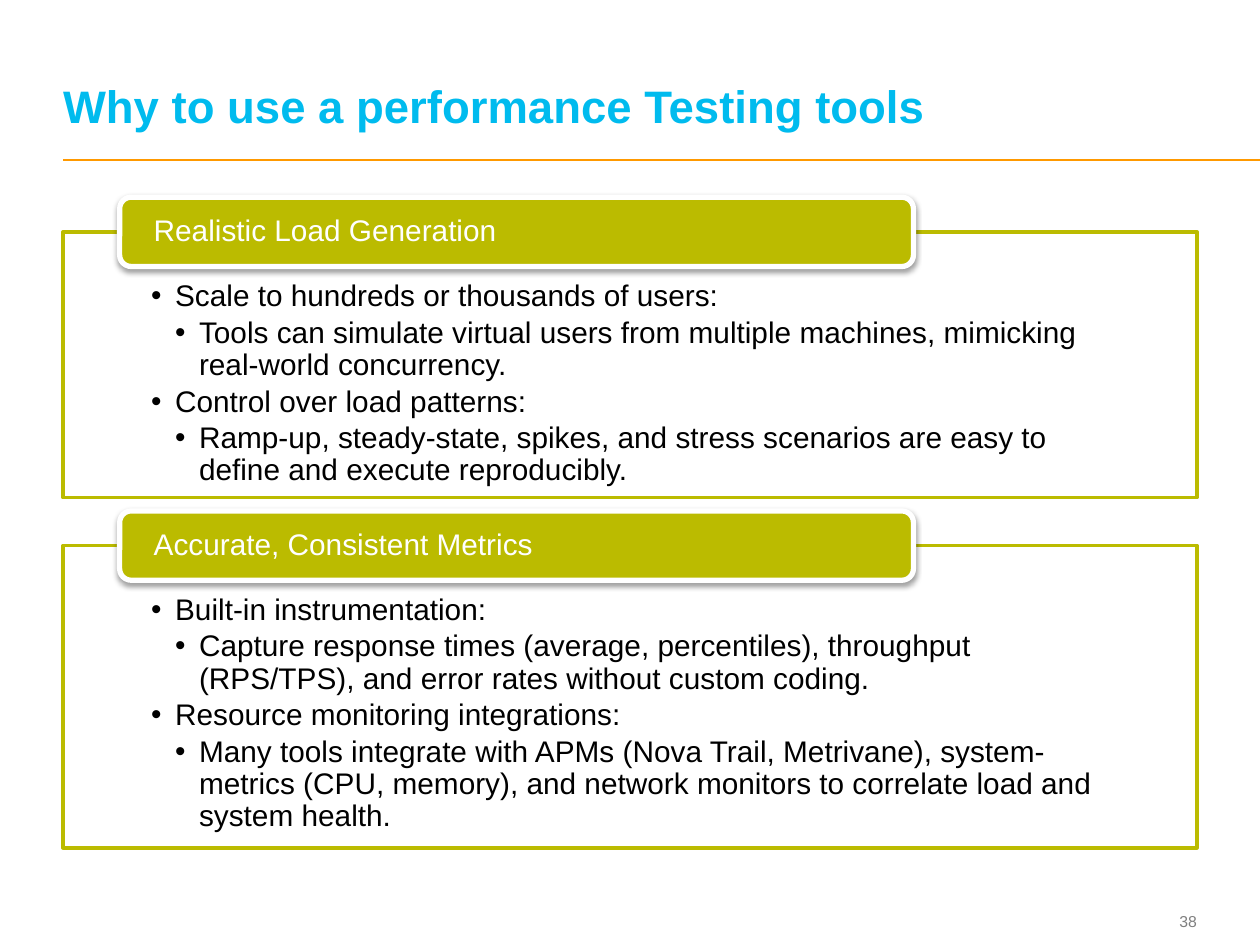
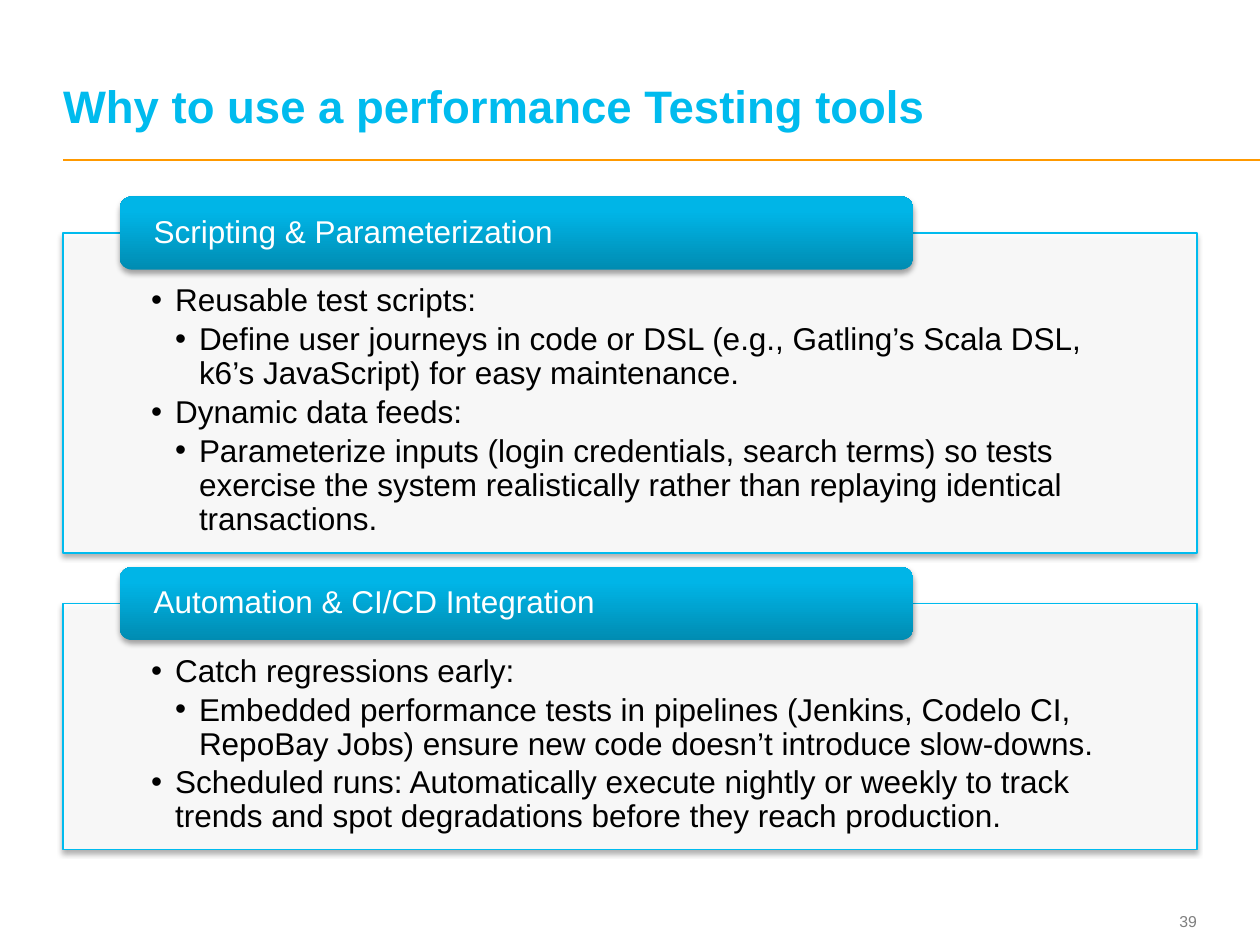
from lxml import etree
from pptx import Presentation
from pptx.dml.color import RGBColor
from pptx.enum.shapes import MSO_CONNECTOR, MSO_SHAPE
from pptx.enum.text import MSO_ANCHOR, MSO_AUTO_SIZE, PP_ALIGN
from pptx.oxml.ns import qn
from pptx.util import Inches, Pt

STRAIGHT = MSO_CONNECTOR.STRAIGHT
RECTANGLE = MSO_SHAPE.RECTANGLE
ROUNDED = MSO_SHAPE.ROUNDED_RECTANGLE
TOP, MIDDLE, BOTTOM = MSO_ANCHOR.TOP, MSO_ANCHOR.MIDDLE, MSO_ANCHOR.BOTTOM
NO_AUTOFIT = MSO_AUTO_SIZE.NONE
LEFT, RIGHT = PP_ALIGN.LEFT, PP_ALIGN.RIGHT

COLORS = {
    "title": "00BBEE",
    "rule": "FF9900",
    "number": "7F7F7F",
    "white": "FFFFFF",
    "black": "000000",
    "olive": "BBBB00",
    "cyan": "00BBEE",
    "cyan_dark": "008CB2",
    "cyan_light": "00B5E7",
}
FONT = "Arial"
TITLE = "Why to use a performance Testing tools"
MARGIN, PANEL_WIDTH = 0.5, 9
HEADER_OFFSET, HEADER_WIDTH, HEADER_INSET = 0.45, 6.3, 0.03
INDENT = 0.19

OLIVE_STYLE = {
    "top": 1.84, "gap": 0.38, "size": 17, "padding": (0.7, 0.39, 0.7, 0.13),
    "line": "olive", "line_width": 2, "panel_shadow": None,
    "header_height": 0.55, "header_fill": ["olive"], "header_line": "white",
    "header_shadow": (38, 3.1, 1.6),
}
CYAN_STYLE = {
    "top": 1.85, "gap": 0.4, "size": 18, "padding": (0.7, 0.41, 0.7, 0.14),
    "line": "cyan", "line_width": 0.75, "panel_shadow": (35, 3.1, 1.8),
    "header_height": 0.58, "header_fill": ["cyan_dark", "cyan_light"], "header_line": None,
    "header_shadow": (35, 3.1, 1.8),
}

SLIDES = [
    (38, OLIVE_STYLE, [
        ("Realistic Load Generation", 2.11, [
            (1, "Scale to hundreds or thousands of users:"),
            (2, "Tools can simulate virtual users from multiple machines, mimicking real-world concurrency."),
            (1, "Control over load patterns:"),
            (2, "Ramp-up, steady-state, spikes, and stress scenarios are easy to define and execute reproducibly."),
        ]),
        ("Accurate, Consistent Metrics", 2.4, [
            (1, "Built-in instrumentation:"),
            (2, "Capture response times (average, percentiles), throughput (RPS/TPS), "
                "and error rates without custom coding."),
            (1, "Resource monitoring integrations:"),
            (2, "Many tools integrate with APMs (Nova Trail, Metrivane), system-metrics (CPU, memory), "
                "and network monitors to correlate load and system health."),
        ]),
    ]),
    (39, CYAN_STYLE, [
        ("Scripting & Parameterization", 2.54, [
            (1, "Reusable test scripts:"),
            (2, "Define user journeys in code or DSL (e.g., Gatling’s Scala DSL, "
                "k6’s JavaScript) for easy maintenance."),
            (1, "Dynamic data feeds:"),
            (2, "Parameterize inputs (login credentials, search terms) so tests exercise the system "
                "realistically rather than replaying identical transactions."),
        ]),
        ("Automation & CI/CD Integration", 1.95, [
            (1, "Catch regressions early:"),
            (2, "Embedded performance tests in pipelines (Jenkins, Codelo CI, RepoBay Jobs) "
                "ensure new code doesn’t introduce slow-downs."),
            (1, "Scheduled runs: Automatically execute nightly or weekly to track trends "
                "and spot degradations before they reach production."),
        ]),
    ]),
]


def rgb(name):
    return RGBColor.from_string(COLORS[name])


def set_attributes(target, values):
    for name, value in values.items():
        setattr(target, name, value)


def format_frame(frame, anchor, padding=(0, 0, 0, 0)):
    sides = ("margin_left", "margin_top", "margin_right", "margin_bottom")
    set_attributes(frame, {"word_wrap": True, "auto_size": NO_AUTOFIT, "vertical_anchor": anchor})
    set_attributes(frame, {side: Inches(value) for side, value in zip(sides, padding)})


def format_paragraph(paragraph, text, size, color, bold=False, **layout):
    paragraph.text = text
    set_attributes(paragraph, layout)
    set_attributes(paragraph.font, {"name": FONT, "size": Pt(size), "bold": bold})
    paragraph.font.color.rgb = rgb(color)


def add_bullet(paragraph, level):
    paragraph.level = level
    properties = paragraph._p.get_or_add_pPr()
    properties.set("marL", str(Inches(INDENT * level)))
    properties.set("indent", str(-Inches(INDENT)))
    etree.SubElement(properties, qn("a:buFont"), typeface=FONT)
    etree.SubElement(properties, qn("a:buChar"), char="•")


def add_text_box(slide, box, anchor, padding=(0, 0, 0, 0)):
    frame = slide.shapes.add_textbox(*map(Inches, box)).text_frame
    format_frame(frame, anchor, padding)
    return frame


def set_shadow(shape, shadow):
    shape.shadow.inherit = False
    if shadow:
        opacity, blur, distance = shadow
        effects = shape._element.spPr.find(qn("a:effectLst"))
        outer = etree.SubElement(effects, qn("a:outerShdw"), blurRad=str(Pt(blur)),
                                 dist=str(Pt(distance)), dir="5400000", rotWithShape="0")
        color = etree.SubElement(outer, qn("a:srgbClr"), val=COLORS["black"])
        etree.SubElement(color, qn("a:alpha"), val=str(opacity * 1000))


def set_line(shape, color, width):
    if color:
        shape.line.color.rgb = rgb(color)
        shape.line.width = Pt(width)
    else:
        shape.line.fill.background()


def set_fill(shape, names):
    if len(names) == 1:
        shape.fill.solid()
        shape.fill.fore_color.rgb = rgb(names[0])
    else:
        shape.fill.gradient()
        shape.fill.gradient_angle = 90
        for stop, name, position in zip(shape.fill.gradient_stops, names, (0, 0.8)):
            stop.color.rgb = rgb(name)
            stop.position = position


def add_panel(slide, box, points, style):
    panel = slide.shapes.add_shape(RECTANGLE, *map(Inches, box))
    set_fill(panel, ["white"])
    fill_color = panel._element.spPr.find(qn("a:solidFill"))[0]
    etree.SubElement(fill_color, qn("a:alpha"), val="90000")
    set_line(panel, style["line"], style["line_width"])
    set_shadow(panel, style["panel_shadow"])
    frame = add_text_box(slide, box, TOP, style["padding"])
    size = style["size"]
    for index, (level, text) in enumerate(points):
        paragraph = frame.add_paragraph() if index else frame.paragraphs[0]
        add_bullet(paragraph, level)
        format_paragraph(paragraph, text, size, "black", line_spacing=0.9,
                         space_after=Pt(size * 0.15))


def add_header(slide, box, text, style):
    left, top, width, height = box
    header = slide.shapes.add_shape(ROUNDED, *map(Inches, box))
    set_fill(header, style["header_fill"])
    set_line(header, style["header_line"], 3)
    set_shadow(header, style["header_shadow"])
    inner = (left + HEADER_INSET, top + HEADER_INSET,
             width - 2 * HEADER_INSET, height - 2 * HEADER_INSET)
    frame = add_text_box(slide, inner, MIDDLE, (0.24, 0, 0.24, 0))
    format_paragraph(frame.paragraphs[0], text, style["size"], "white", line_spacing=0.9)


def add_section(slide, box, heading, points, style):
    left, top, width, height = box
    add_panel(slide, box, points, style)
    header_height = style["header_height"]
    header_box = (left + HEADER_OFFSET, top - header_height / 2, HEADER_WIDTH, header_height)
    add_header(slide, header_box, heading, style)


def add_frame(slide, number):
    rule = slide.shapes.add_connector(STRAIGHT, *map(Inches, (MARGIN, 1.27, 10, 1.27)))
    set_line(rule, "rule", 1)
    etree.SubElement(rule._element.spPr, qn("a:effectLst"))
    frame = add_text_box(slide, (8.91, 7.18, 0.59, 0.27), MIDDLE)
    format_paragraph(frame.paragraphs[0], str(number), 9, "number", alignment=RIGHT)
    title = slide.shapes.title
    set_attributes(title, {"left": Inches(MARGIN), "top": Inches(0.19),
                           "width": Inches(8.97), "height": Inches(0.86)})
    format_frame(title.text_frame, BOTTOM)
    format_paragraph(title.text_frame.paragraphs[0], TITLE, 26, "title", True,
                     alignment=LEFT, line_spacing=Pt(26))


def add_sections_slide(presentation, number, style, sections):
    slide = presentation.slides.add_slide(presentation.slide_layouts[5])
    add_frame(slide, number)
    top = style["top"]
    for heading, height, points in sections:
        add_section(slide, (MARGIN, top, PANEL_WIDTH, height), heading, points, style)
        top += height + style["gap"]


def main():
    presentation = Presentation()
    presentation.slide_width = Inches(10)
    presentation.slide_height = Inches(7.5)
    for number, style, sections in SLIDES:
        add_sections_slide(presentation, number, style, sections)
    presentation.save("out.pptx")


if __name__ == "__main__":
    main()
